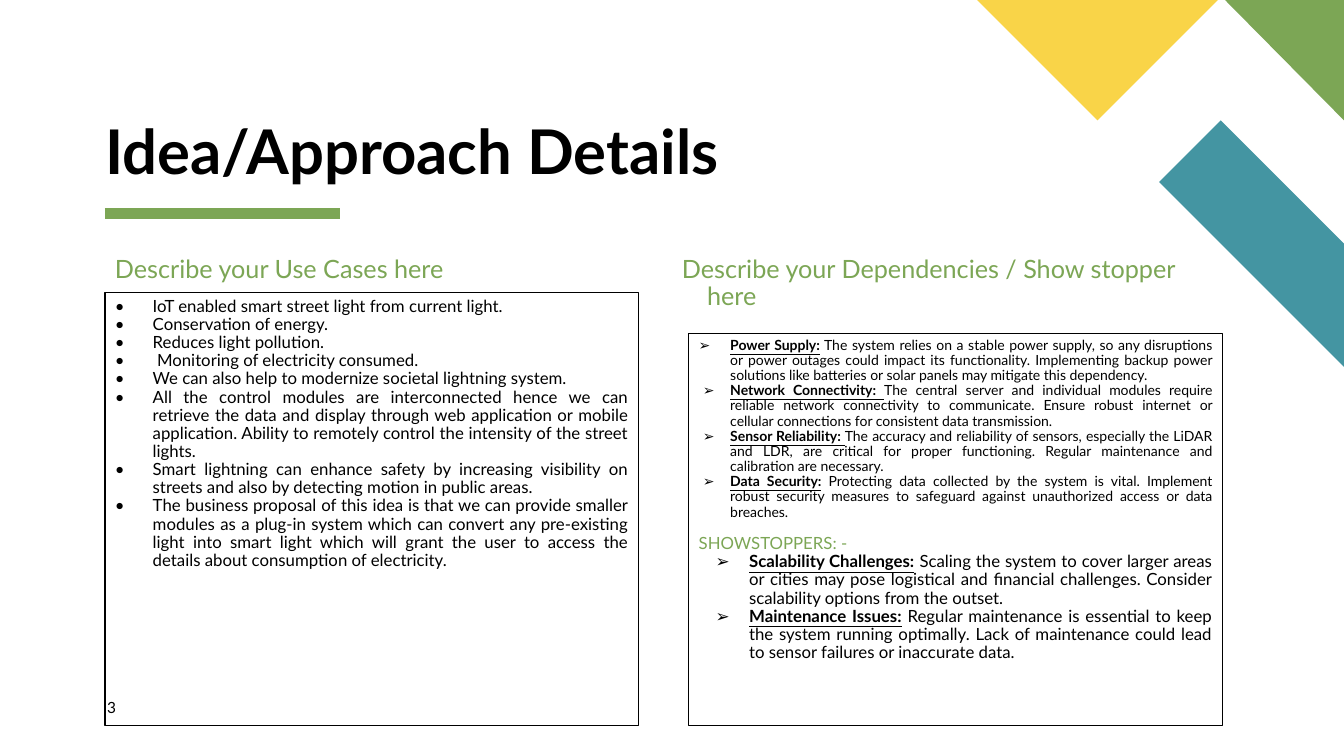
"""Build the Idea/Approach Details slide with its use cases and dependencies."""
from dataclasses import dataclass

from lxml.etree import SubElement
from pptx import Presentation
from pptx.dml.color import RGBColor as RGB
from pptx.enum.shapes import MSO_CONNECTOR as CONNECTOR, MSO_SHAPE as SHAPE
from pptx.enum.text import MSO_ANCHOR as ANCHOR, PP_ALIGN as ALIGN
from pptx.oxml.ns import qn
from pptx.util import Pt


@dataclass(frozen=True)
class Theme:
    font: str = "Lato"
    black: RGB = RGB(0x00, 0x00, 0x00)
    green: RGB = RGB(0x7C, 0xA6, 0x55)
    teal: RGB = RGB(0x44, 0x95, 0xA2)
    yellow: RGB = RGB(0xF9, 0xD4, 0x48)
    title: float = 44
    heading: float = 18
    body: float = 12
    number: float = 11
    small: float = 10
    spacing: float = 0.9


THEME = Theme()

USE_CASES = [
    "IoT enabled smart street light from current light.",
    "Conservation of energy.",
    "Reduces light pollution.",
    " Monitoring of electricity consumed.",
    "We can also help to modernize societal lightning system.",
    "All the control modules are interconnected hence we can retrieve the data and display "
    "through web application or mobile application. Ability to remotely control the intensity "
    "of the street lights.",
    "Smart lightning can enhance safety by increasing visibility on streets and also by "
    "detecting motion in public areas.",
    "The business proposal of this idea is that we can provide smaller modules as a plug-in "
    "system which can convert any pre-existing light into smart light which will grant the "
    "user to access the details about consumption of electricity.",
]

DEPENDENCIES = [
    ("Power Supply:",
     " The system relies on a stable power supply, so any disruptions or power outages could "
     "impact its functionality. Implementing backup power solutions like batteries or solar "
     "panels may mitigate this dependency."),
    ("Network Connectivity: ",
     "The central server and individual modules require reliable network connectivity to "
     "communicate. Ensure robust internet or cellular connections for consistent data "
     "transmission."),
    ("Sensor Reliability: ",
     "The accuracy and reliability of sensors, especially the LiDAR and LDR, are critical for "
     "proper functioning. Regular maintenance and calibration are necessary."),
    ("Data Security:",
     " Protecting data collected by the system is vital. Implement robust security measures "
     "to safeguard against unauthorized access or data breaches."),
]

SHOWSTOPPERS = [
    ("Scalability Challenges:",
     " Scaling the system to cover larger areas or cities may pose logistical and financial "
     "challenges. Consider scalability options from the outset."),
    ("Maintenance Issues:",
     " Regular maintenance is essential to keep the system running optimally. Lack of "
     "maintenance could lead to sensor failures or inaccurate data."),
]

CORNER_PIECES = [
    (THEME.teal, [(960, 262), (960, 174), (872, 86), (828, 130)]),
    (THEME.green, [(960, 86), (960, 0), (875, 0)]),
    (THEME.yellow, [(698, 0), (784, 86), (870, 0)]),
]


def add_corner_piece(slide, color, corners):
    outline = slide.shapes.build_freeform(*corners[0], scale=Pt(1))
    outline.add_line_segments(corners[1:], close=True)
    piece = outline.convert_to_shape()
    piece.shadow.inherit = False
    piece.fill.solid()
    piece.fill.fore_color.rgb = color
    piece.line.fill.background()


def add_rule(slide, left, right, y):
    rule = slide.shapes.add_connector(CONNECTOR.STRAIGHT, Pt(left), Pt(y), Pt(right), Pt(y))
    rule.line.color.rgb = THEME.green
    rule.line.width = Pt(8)
    SubElement(rule._element.spPr, qn("a:effectLst"))


def style_run(run, size, color, strong=False):
    run.font.name = THEME.font
    run.font.size = Pt(size)
    run.font.color.rgb = color
    run.font.bold = strong


def set_indent(paragraph, margin, hanging):
    properties = paragraph._p.get_or_add_pPr()
    properties.set("marL", str(Pt(margin)))
    properties.set("indent", str(Pt(-hanging)))


def set_bullet(paragraph, symbol):
    properties = paragraph._p.get_or_add_pPr()
    color = SubElement(properties, qn("a:buClr"))
    SubElement(color, qn("a:srgbClr")).set("val", str(THEME.black))
    SubElement(properties, qn("a:buFont")).set("typeface", THEME.font)
    SubElement(properties, qn("a:buChar")).set("char", symbol)


def add_label(slide, box, text, size, color, strong=False, inset=True, hanging=0,
              anchor=ANCHOR.TOP):
    frame = slide.shapes.add_textbox(*map(Pt, box)).text_frame
    frame.word_wrap = True
    frame.vertical_anchor = anchor
    if not inset:
        frame.margin_left = frame.margin_right = frame.margin_top = frame.margin_bottom = 0
    frame.text = text
    label = frame.paragraphs[0]
    label.line_spacing = THEME.spacing
    set_indent(label, hanging, hanging)
    style_run(label.runs[0], size, color, strong)


def add_panel(slide, box):
    panel = slide.shapes.add_shape(SHAPE.RECTANGLE, *map(Pt, box))
    panel.shadow.inherit = False
    panel.fill.background()
    panel.line.color.rgb = THEME.black
    panel.line.width = Pt(0.75)
    panel.text_frame.word_wrap = True
    panel.text_frame.vertical_anchor = ANCHOR.TOP
    return panel.text_frame


def add_entry(frame, text, size, color=THEME.black, term="", symbol="", margin=0, hanging=0):
    first = frame.paragraphs[0]
    entry = frame.add_paragraph() if first.runs else first
    entry.alignment = ALIGN.JUSTIFY
    entry.line_spacing = THEME.spacing
    set_indent(entry, margin, hanging)
    if symbol:
        set_bullet(entry, symbol)
    if term:
        lead = entry.add_run()
        lead.text = term
        style_run(lead, size, color, strong=True)
        lead.font.underline = True
    detail = entry.add_run()
    detail.text = text
    style_run(detail, size, color)
    return entry


def main():
    deck = Presentation()
    deck.slide_width, deck.slide_height = Pt(960), Pt(540)
    slide = deck.slides.add_slide(deck.slide_layouts[6])

    add_rule(slide, 75, 243, 152.75)
    for color, corners in CORNER_PIECES:
        add_corner_piece(slide, color, corners)
    add_label(slide, (75, 86, 455, 48), "Idea/Approach Details", THEME.title, THEME.black,
              strong=True, inset=False, anchor=ANCHOR.BOTTOM)

    add_label(slide, (75, 180, 381, 25), "Describe your Use Cases here",
              THEME.heading, THEME.green, hanging=18)
    use_cases = add_panel(slide, (75, 209.25, 381, 309))
    for text in USE_CASES:
        add_entry(use_cases, text, THEME.body, symbol="•", margin=27, hanging=27)
    add_label(slide, (76.5, 500, 41, 19.5), "3", THEME.number, THEME.black, inset=False)

    add_label(slide, (480, 180, 404.5, 25), "Describe your Dependencies / Show stopper here",
              THEME.heading, THEME.green, hanging=18)
    dependencies = add_panel(slide, (492, 238, 381, 280.25))
    for index, (term, text) in enumerate(DEPENDENCIES):
        add_entry(dependencies, text, THEME.small, term=term, symbol="➢",
                  margin=22.5, hanging=19.5 if index else 22.5)
    subheading = add_entry(dependencies, "SHOWSTOPPERS: -", THEME.body, THEME.green)
    subheading.space_before = Pt(10.8)
    for term, text in SHOWSTOPPERS:
        add_entry(dependencies, text, THEME.body, term=term, symbol="➢", margin=36, hanging=24)

    deck.save("out.pptx")


if __name__ == "__main__":
    main()
